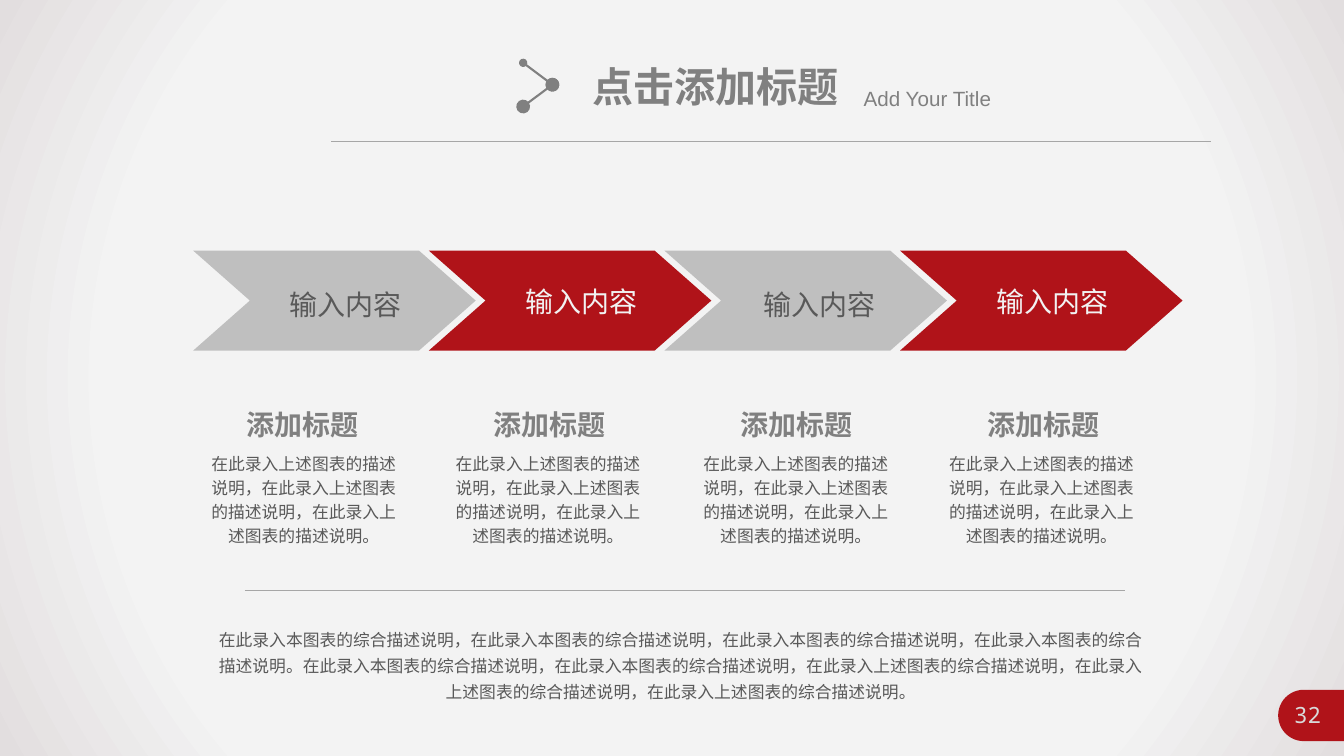
from dataclasses import dataclass
from math import cos, pi, sin

from pptx import Presentation
from pptx.dml.color import RGBColor
from pptx.enum.shapes import MSO_CONNECTOR, MSO_SHAPE
from pptx.enum.text import MSO_ANCHOR, PP_ALIGN
from pptx.oxml import parse_xml
from pptx.oxml.ns import nsdecls, qn
from pptx.util import Pt


@dataclass(frozen=True)
class Theme:
    red: str = "B01319"
    silver: str = "BFBFBF"
    heading: str = "808080"
    body: str = "595959"
    on_red: str = "F2F2F2"
    page: str = "D9D9D9"
    rule: str = "A6A6A6"
    backdrop: tuple = ((0, "F5F5F5"), (73, "F3F3F3"), (100, "E2DEDF"))
    latin: str = "Arial"
    cjk: str = "Noto Sans CJK SC"
    mono: str = "Noto Sans Mono"
    title_size: float = 29.3
    subtitle_size: float = 14.7
    label_size: float = 20
    body_size: float = 12
    page_size: float = 16


T = Theme()
W, H = 960, 540

prs = Presentation()
prs.slide_width, prs.slide_height = Pt(W), Pt(H)
s = prs.slides.add_slide(prs.slide_layouts[6])


def add_text(text, x, y, w, h, *, size, color, font=T.cjk, bold=False,
             align=PP_ALIGN.CENTER, spacing=1.0, wrap=True, inset=True,
             anchor=MSO_ANCHOR.TOP):
    sp = s.shapes.add_textbox(Pt(x), Pt(y), Pt(w), Pt(h))
    tf = sp.text_frame
    tf.word_wrap = wrap
    tf.vertical_anchor = anchor
    if not inset:
        tf.margin_left = tf.margin_right = tf.margin_top = tf.margin_bottom = 0
    p = tf.paragraphs[0]
    p.alignment = align
    p.line_spacing = spacing
    r = p.add_run()
    r.text = text
    r.font.size = Pt(size)
    r.font.bold = bold
    r.font.name = font
    r.font.color.rgb = RGBColor.from_string(color)
    r.font._element.append(parse_xml(f'<a:ea {nsdecls("a")} typeface="{T.cjk}"/>'))


def add_line(x1, y1, x2, y2, color, width, dots=()):
    """Draw a line; dots gives the sizes of the round ends, start first."""
    c = s.shapes.add_connector(MSO_CONNECTOR.STRAIGHT, Pt(x1), Pt(y1), Pt(x2), Pt(y2))
    c.line.color.rgb = RGBColor.from_string(color)
    c.line.width = Pt(width)
    for end, dot in zip(("headEnd", "tailEnd"), dots):
        c.line._get_or_add_ln().append(parse_xml(
            f'<a:{end} {nsdecls("a")} type="oval" w="{dot}" len="{dot}"/>'))
    c._element.spPr.append(parse_xml(f'<a:effectLst {nsdecls("a")}/>'))


# Backdrop
backdrop = s.shapes.add_shape(MSO_SHAPE.RECTANGLE, 0, 0, Pt(W), Pt(H))
backdrop.shadow.inherit = False
backdrop.line.fill.background()
stops = "".join(f'<a:gs pos="{pos * 1000}"><a:srgbClr val="{color}"/></a:gs>'
                for pos, color in T.backdrop)
backdrop._element.spPr.find(qn("a:prstGeom")).addnext(parse_xml(
    f'<a:gradFill {nsdecls("a")} rotWithShape="1"><a:gsLst>{stops}</a:gsLst>'
    '<a:path path="circle"><a:fillToRect l="50000" t="50000" r="50000" b="50000"/>'
    '</a:path></a:gradFill>'))

# Header
add_line(236.6, 100.9, 865.2, 100.9, T.rule, 0.5)
add_text("点击添加标题", 416.2, 40.3, 192.2, 42.5, size=T.title_size, color=T.heading,
         font=T.latin, bold=True, align=PP_ALIGN.LEFT, wrap=False)
add_text("Add Your Title", 609.8, 57.6, 181.4, 25.2, size=T.subtitle_size,
         color=T.heading, font=T.latin, align=PP_ALIGN.LEFT)
add_line(373.7, 44.9, 394.6, 60.5, T.heading, 1.5, ("med", "lg"))
add_line(394.6, 60.5, 373.7, 76.1, T.heading, 1.5, ("lg", "lg"))

# Page tab: rounded on the left, running to the slide edge
tab_left, tab_top, radius = 913, 492.7, 18.35
arc = [(tab_left + radius * (1 - sin(pi * k / 24)),
        tab_top + radius * (1 - cos(pi * k / 24))) for k in range(25)]
outline = [(Pt(x), Pt(y)) for x, y in [*arc, (W, tab_top + 2 * radius), (W, tab_top)]]
fb = s.shapes.build_freeform(*outline[0])
fb.add_line_segments(outline[1:], close=True)
tab = fb.convert_to_shape()
tab.shadow.inherit = False
tab.fill.solid()
tab.fill.fore_color.rgb = RGBColor.from_string(T.red)
tab.line.fill.background()
add_text("32", 910.3, 497.5, 47.5, 26.6, size=T.page_size, color=T.page, font=T.mono)

# Four steps: arrow, label, heading and description
arrow_left, arrow_top, arrow_w, arrow_h, arrow_tip = 138, 179, 201.8, 71.4, 40.5
arrow_pitch, heading_pitch = 168.3, 176.4
label_w, heading_w, body_w = 170, 95, 149
label_centers = (246.6, 415.1, 585.4, 752)
body_centers = (217, 391.5, 568.5, 744)
DESCRIPTION = "在此录入上述图表的描述说明，" * 2 + "在此录入上述图表的描述说明。"

for i, (label_x, body_x) in enumerate(zip(label_centers, body_centers)):
    is_red = i % 2 == 1
    arrow = s.shapes.add_shape(MSO_SHAPE.CHEVRON, Pt(arrow_left + i * arrow_pitch),
                               Pt(arrow_top), Pt(arrow_w), Pt(arrow_h))
    arrow.adjustments[0] = arrow_tip / arrow_h
    arrow.shadow.inherit = False
    arrow.fill.solid()
    arrow.fill.fore_color.rgb = RGBColor.from_string(T.red if is_red else T.silver)
    arrow.line.fill.background()
    add_text("输入内容", label_x - label_w / 2, arrow_top + 18, label_w, 36,
             size=T.label_size, color=T.on_red if is_red else T.body, font=T.latin,
             spacing=1.0 if is_red else 1.2, inset=False, anchor=MSO_ANCHOR.MIDDLE)
    add_text("添加标题", 168.5 + i * heading_pitch, 287.3, heading_w, 31.7,
             size=T.label_size, color=T.heading, bold=True, wrap=False)
    add_text(DESCRIPTION, body_x - body_w / 2, 317.5, body_w, 77,
             size=T.body_size, color=T.body, spacing=1.2)

# Summary
add_line(175, 421.8, 803.5, 421.8, T.rule, 0.5)
chart_note, step_note = "在此录入本图表的综合描述说明", "在此录入上述图表的综合描述说明"
add_text("，".join([chart_note] * 4) + "。"
         + "，".join([chart_note] * 2 + [step_note] * 3) + "。",
         144, 442, 684.7, 64, size=T.body_size, color=T.body, spacing=1.3)

prs.save("out.pptx")
